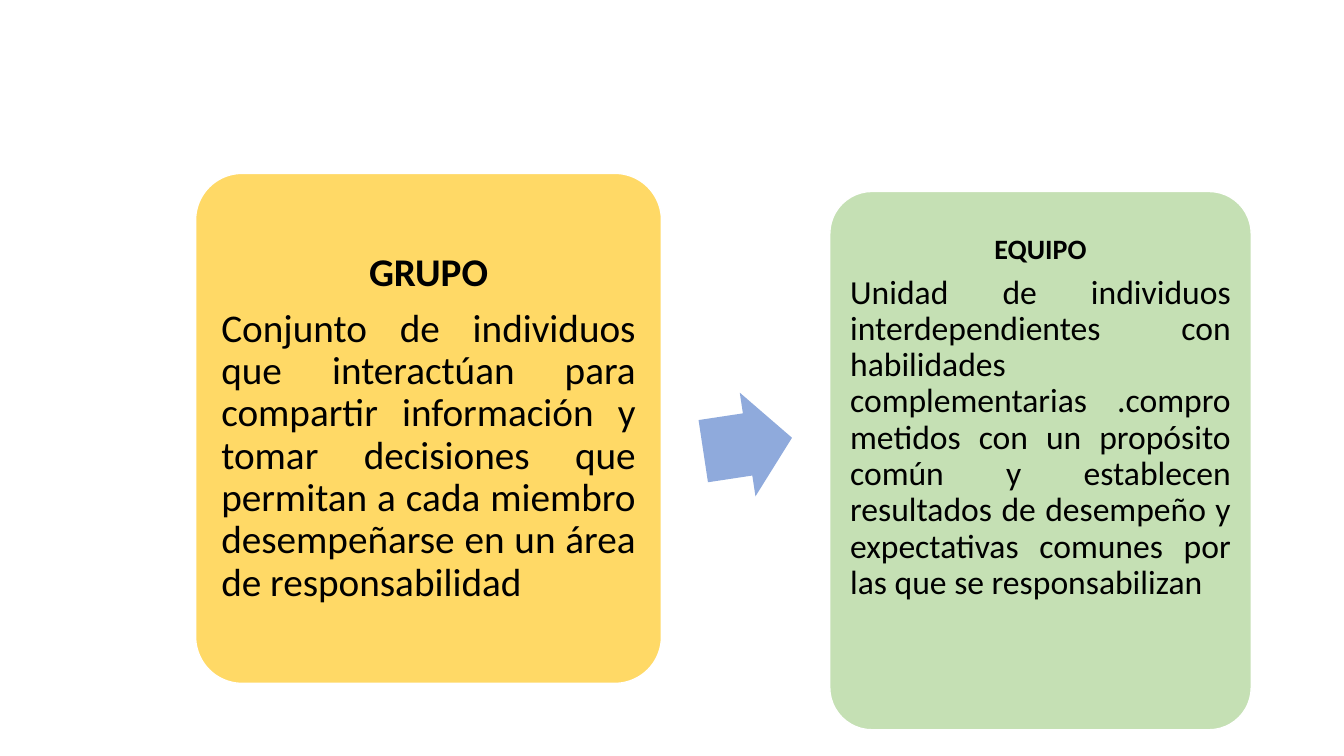
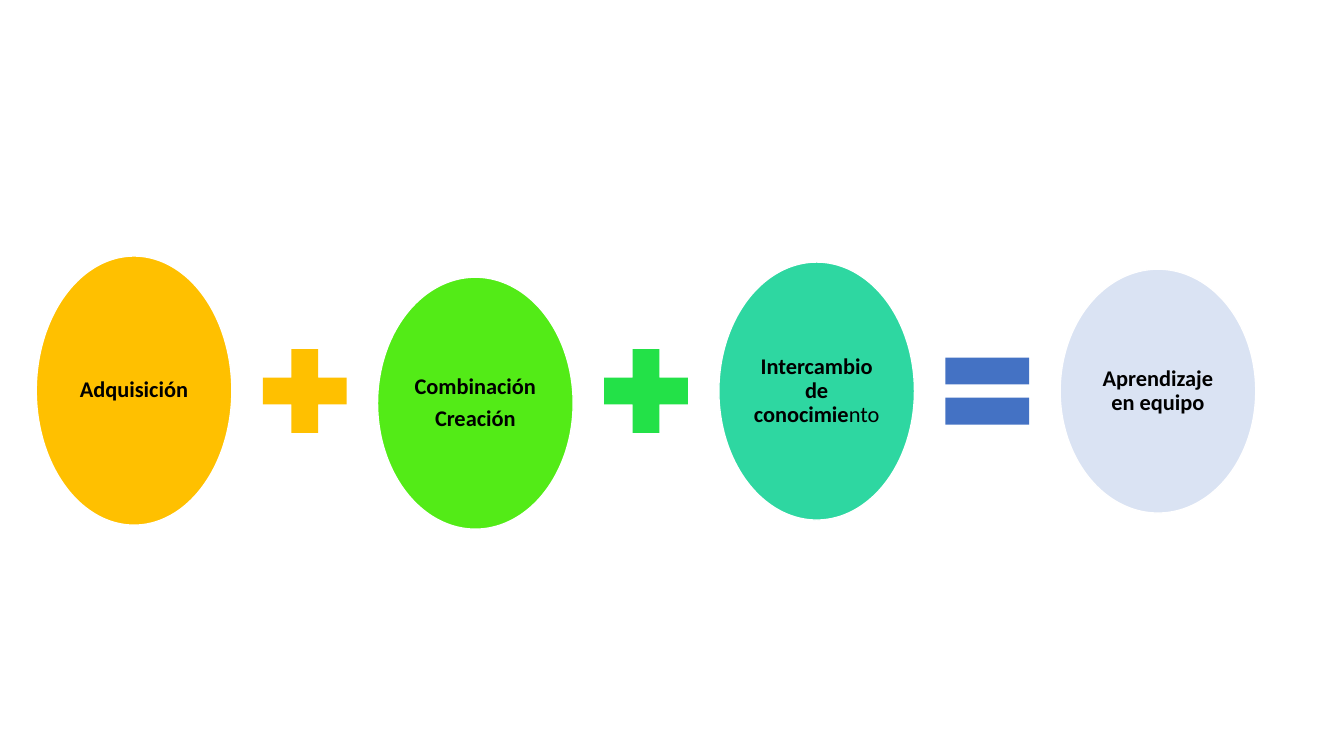
from pptx import Presentation
from pptx.dml.color import RGBColor
from pptx.enum.shapes import MSO_SHAPE
from pptx.enum.text import MSO_ANCHOR, PP_ALIGN
from pptx.util import Inches, Pt

ROUNDED, ARROW, OVAL = MSO_SHAPE.ROUNDED_RECTANGLE, MSO_SHAPE.RIGHT_ARROW, MSO_SHAPE.OVAL
PLUS, EQUAL = MSO_SHAPE.MATH_PLUS, MSO_SHAPE.MATH_EQUAL
CENTER, JUSTIFY, MIDDLE = PP_ALIGN.CENTER, PP_ALIGN.JUSTIFY, MSO_ANCHOR.MIDDLE

FONT = "Calibri"
COLORS = {
    "text": "000000", "outline": "FFFFFF",
    "group": "FFD966", "team": "C5E0B4", "arrow": "8FAADC",
    "acquisition": "FFC000", "combination": "53EB17", "plus": "23E148",
    "exchange": "2ED7A1", "equal": "4472C4", "learning": "DAE3F3",
}


def add_filled_shape(slide, kind, left, top, width, height, color, outlined=False):
    shape = slide.shapes.add_shape(kind, Inches(left), Inches(top), Inches(width), Inches(height))
    shape.shadow.inherit = False
    shape.fill.solid()
    shape.fill.fore_color.rgb = RGBColor.from_string(COLORS[color])
    if outlined:
        shape.line.color.rgb = RGBColor.from_string(COLORS["outline"])
        shape.line.width = Pt(1)
    else:
        shape.line.fill.background()
    return shape


def write_paragraph(shape, text, size, align=CENTER, bold=True, light_ending="", inset=0.02):
    """Append a paragraph; light_ending is a closing run without bold."""
    frame = shape.text_frame
    frame.word_wrap = True
    frame.vertical_anchor = MIDDLE
    frame.margin_left = frame.margin_right = frame.margin_top = frame.margin_bottom = Inches(inset)
    paragraph = frame.add_paragraph() if frame.text else frame.paragraphs[0]
    paragraph.alignment = align
    paragraph.line_spacing = 0.9
    paragraph.space_after = Pt(round(size * 0.35, 1))
    for content, is_bold in ((text, bold), (light_ending, False)):
        if content:
            run = paragraph.add_run()
            run.text = content
            run.font.name = FONT
            run.font.size = Pt(size)
            run.font.bold = is_bold
            run.font.color.rgb = RGBColor.from_string(COLORS["text"])


presentation = Presentation()
presentation.slide_width, presentation.slide_height = Inches(13.33), Inches(7.5)
blank_layout = presentation.slide_layouts[6]

# Group versus team
slide = presentation.slides.add_slide(blank_layout)
cards = [
    ((1.94, 1.72, 4.62, 5.06), "group", 0.12, 0.12, "GRUPO", 28,
     "Conjunto de individuos que interactúan para compartir información y tomar decisiones "
     "que permitan a cada miembro desempeñarse en un área de responsabilidad", 28),
    ((8.23, 1.9, 4.18, 5.34), "team", 0.08, 0.92, "EQUIPO", 20,
     "Unidad de individuos interdependientes con habilidades complementarias .comprometidos "
     "con un propósito común y establecen resultados de desempeño y expectativas comunes "
     "por las que se responsabilizan", 24),
]
for box, color, inset, bottom_inset, heading, heading_size, body, body_size in cards:
    card = add_filled_shape(slide, ROUNDED, *box, color, outlined=True)
    card.adjustments[0] = 0.1
    write_paragraph(card, heading, heading_size, inset=inset)
    write_paragraph(card, body, body_size, align=JUSTIFY, bold=False, inset=inset)
    card.text_frame.margin_bottom = Inches(bottom_inset)

arrow = add_filled_shape(slide, ARROW, 6.97, 3.89, 0.89, 1.04, "arrow")
arrow.adjustments[0], arrow.adjustments[1] = 0.6, 0.5
arrow.rotation = 351.4

# Team learning equation
slide = presentation.slides.add_slide(blank_layout)
LEFT, PITCH, MIDDLE_Y = 0.36, 3.385, 3.88
OVAL_WIDTH, OPERATOR_SIZE = 1.94, 1.13
operator_offset = OVAL_WIDTH + (PITCH - OVAL_WIDTH - OPERATOR_SIZE) / 2
terms = [
    ("acquisition", 2.54, 2.67, [("Adquisición", "")]),
    ("combination", 2.75, 2.5, [("Combinación", ""), ("Creación", "")]),
    ("exchange", 2.6, 2.56, [("Intercambio de conocimie", "nto")]),
    ("learning", 2.67, 2.42, [("Aprendizaje en equipo", "")]),
]
operators = [(PLUS, "acquisition"), (PLUS, "plus"), (EQUAL, "equal")]

for index, (color, top, height, lines) in enumerate(terms):
    left = LEFT + index * PITCH
    oval = add_filled_shape(slide, OVAL, left, top, OVAL_WIDTH, height, color, outlined=True)
    for text, light_ending in lines:
        write_paragraph(oval, text, 16, light_ending=light_ending)
    if index < len(operators):
        kind, operator_color = operators[index]
        add_filled_shape(slide, kind, left + operator_offset, MIDDLE_Y - OPERATOR_SIZE / 2,
                         OPERATOR_SIZE, OPERATOR_SIZE, operator_color)

presentation.save("out.pptx")
